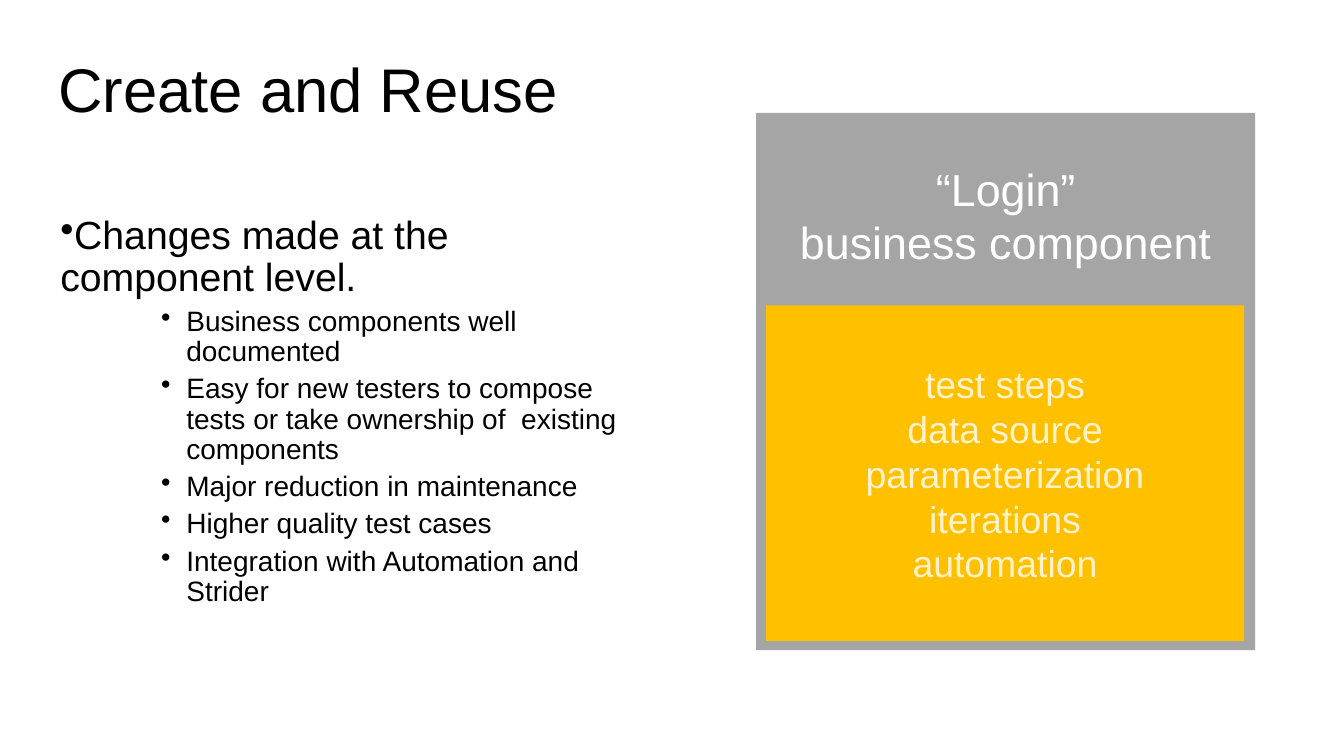
import pptx
import pptx.util
import pptx.dml.color
import pptx.enum.shapes
import pptx.enum.text
from lxml import etree

Inches, Pt = pptx.util.Inches, pptx.util.Pt
ANCHOR = pptx.enum.text.MSO_ANCHOR
ALIGN = pptx.enum.text.PP_ALIGN


def color(code):
    return pptx.dml.color.RGBColor.from_string(code)


def write(shape, lines, size, code, anchor, align, spacing=1.0):
    """Fill a shape with one paragraph per line and return the paragraphs."""
    frame = shape.text_frame
    frame.word_wrap = True
    frame.vertical_anchor = anchor
    frame.text = "\n".join(lines)
    for para in frame.paragraphs:
        para.alignment = align
        para.line_spacing = spacing
        para.font.name = "Arial"
        para.font.size = Pt(size)
        para.font.color.rgb = color(code)
    return frame.paragraphs


deck = pptx.Presentation()
deck.slide_width, deck.slide_height = Inches(13.33), Inches(7.5)
slide = deck.slides.add_slide(deck.slide_layouts[6])
shapes = slide.shapes

title = shapes.add_textbox(Inches(0.48), Inches(0.34), Inches(6), Inches(1.16))
write(title, ["Create and Reuse"], 44, "000000", ANCHOR.MIDDLE, ALIGN.LEFT, 0.9)

# Bulleted list: a lead line, then indented points
body = shapes.add_textbox(Inches(0.5), Inches(2.09), Inches(5.86), Inches(4.36))
points = [
    "Changes made at the component level.",
    "Business components well documented",
    "Easy for new testers to compose tests or take ownership of  existing components",
    "Major reduction in maintenance",
    "Higher quality test cases",
    "Integration with Automation and Strider",
]
paras = write(body, points, 20, "000000", ANCHOR.TOP, ALIGN.LEFT, 0.9)
for rank, para in enumerate(paras):
    lead = rank == 0
    para.level = 0 if lead else 2
    para.space_before = Pt(10 if lead else 5)
    para.font.size = Pt(28 if lead else 20)
    props = para._p.get_or_add_pPr()
    props.set("marL", str(Inches(0 if lead else 1.25)))
    props.set("indent", str(Inches(0 if lead else -0.25)))
    bullet = etree.Element(pptx.oxml.ns.qn("a:buChar"), char="•")
    props.find(pptx.oxml.ns.qn("a:defRPr")).addprevious(bullet)

# Component box with its contents inside
login = ["“Login”", "business component"]
parts = ["test steps", "data source", "parameterization", "iterations", "automation"]
boxes = [
    (7.5, 1.12, 4.95, 5.33, "A5A5A5", login, 32, "FFFFFF", ANCHOR.TOP, 0.48),
    (7.6, 3.03, 4.74, 3.33, "FFC000", parts, 26.7, "FFF2CC", ANCHOR.MIDDLE, 0.05),
]
for left, top, width, height, fill, lines, size, ink, anchor, inset in boxes:
    box = shapes.add_shape(
        pptx.enum.shapes.MSO_SHAPE.RECTANGLE,
        Inches(left), Inches(top), Inches(width), Inches(height),
    )
    box.shadow.inherit = False
    box.fill.solid()
    box.fill.fore_color.rgb = color(fill)
    box.line.fill.background()
    box.text_frame.margin_top = Inches(inset)
    write(box, lines, size, ink, anchor, ALIGN.CENTER)

deck.save("out.pptx")
